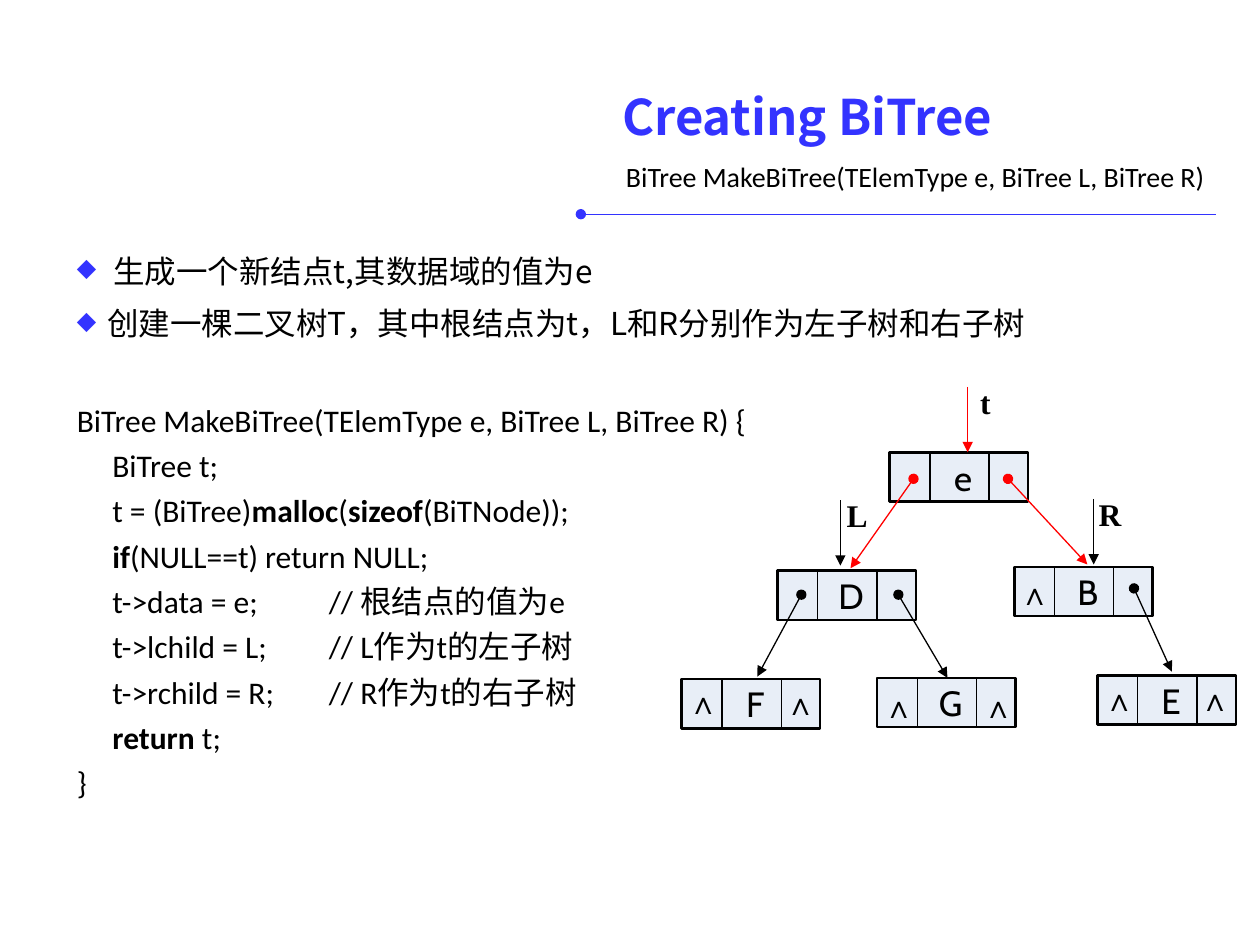
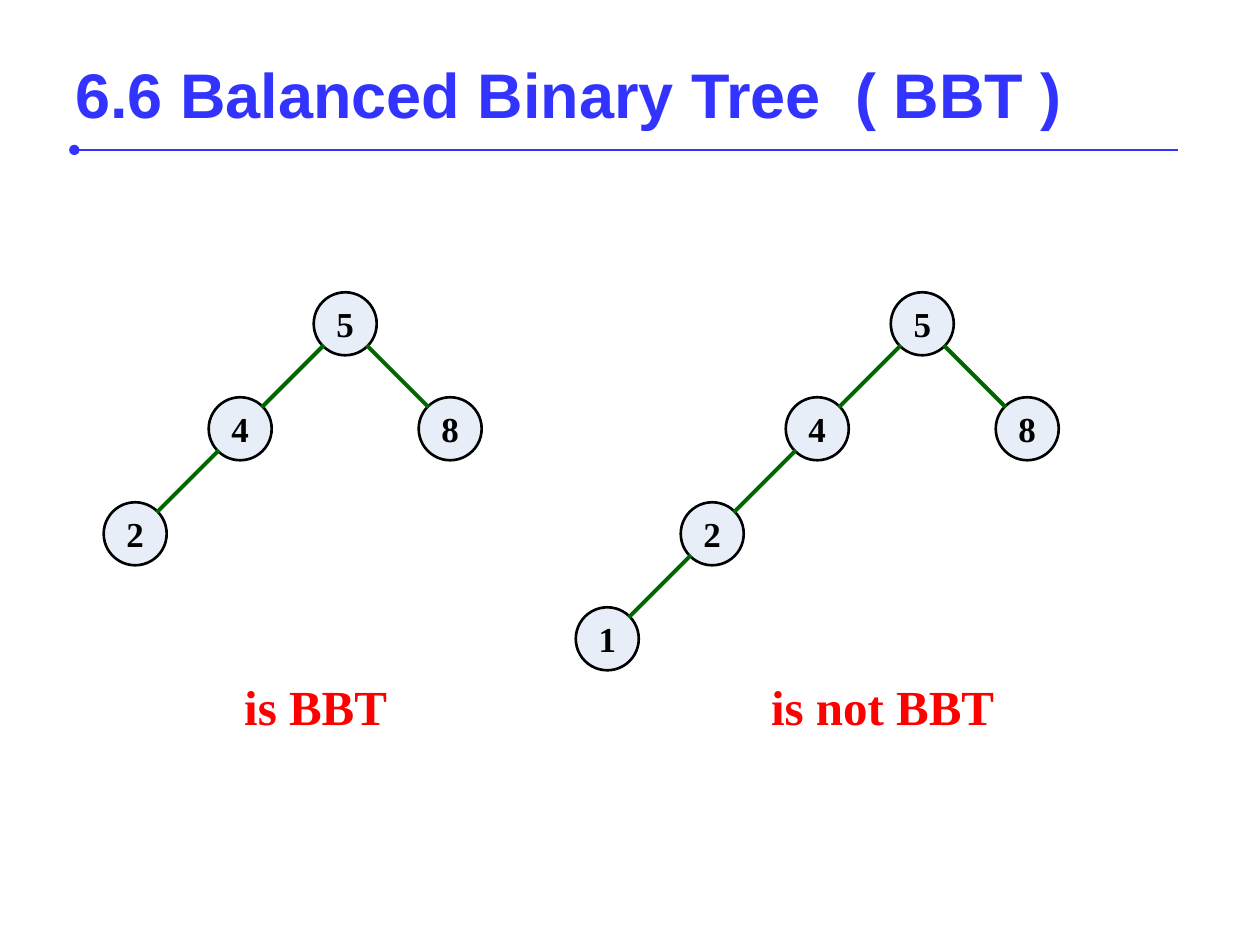
from lxml import etree
from pptx import Presentation
from pptx.dml.color import RGBColor
from pptx.enum.shapes import MSO_CONNECTOR, MSO_SHAPE
from pptx.enum.text import MSO_ANCHOR, PP_ALIGN
from pptx.oxml.ns import qn
from pptx.util import Inches, Pt

COLORS = {"blue": "3333FF", "black": "000000", "red": "FF0000",
          "green": "006600", "node": "E8EEF7"}
LABEL = {"name": "Times New Roman", "size": Pt(18), "bold": True}
LETTER = {"name": "Cabin", "size": Pt(20)}
NULL_MARK = {"name": "Arial", "size": Pt(18), "bold": True}
CODE = {"name": "Calibri", "size": Pt(18)}
NOTE = {"name": "Noto Sans CJK SC", "size": Pt(18)}
KEY = {"name": "Times New Roman", "size": Pt(20), "bold": True}
CAPTION = {"name": "Times New Roman", "size": Pt(28), "bold": True}


def write(shape, lines, font, color="black", align=PP_ALIGN.LEFT,
          anchor=MSO_ANCHOR.TOP, wrap=True):
    """Fill a shape with one paragraph per line; **marked** pieces are bold."""
    frame = shape.text_frame
    frame.word_wrap = wrap
    frame.vertical_anchor = anchor
    for number, line in enumerate(lines):
        paragraph = frame.add_paragraph() if number else frame.paragraphs[0]
        paragraph.alignment = align
        for index, piece in enumerate(line.split("**")):
            if not piece:
                continue
            run = paragraph.add_run()
            run.text = piece
            for attribute, value in font.items():
                setattr(run.font, attribute, value)
            if index % 2:
                run.font.bold = True
            run.font.color.rgb = RGBColor.from_string(COLORS[color])
    return frame


def add_line(slide, start, end, color="black", width=0.75, head=None, tail=None):
    line = slide.shapes.add_connector(
        MSO_CONNECTOR.STRAIGHT, *map(Inches, start + end))
    line.line.color.rgb = RGBColor.from_string(COLORS[color])
    line.line.width = Pt(width)
    outline = line.line._get_or_add_ln()
    for tag, kind in (("a:headEnd", head), ("a:tailEnd", tail)):
        if kind:
            etree.SubElement(outline, qn(tag), type=kind)
    etree.SubElement(line._element.spPr, qn("a:effectLst"))


presentation = Presentation()
presentation.slide_width = Inches(10)
presentation.slide_height = Inches(7.5)

# Titles with the dotted rule below
headers = [
    ("Creating BiTree", (4.84, 0.6, 4.52, 0.64), "Noto Sans CJK SC", 28,
     (4.61, 1.7), (9.65, 1.7), 0.75),
    ("6.6 Balanced Binary Tree  ( BBT )", (0.5, 0.3, 9, 0.88), "Arial", 36,
     (0.59, 1.19), (9.35, 1.19), 1.5),
]
slides = []
for title, box, font_name, size, rule_start, rule_end, rule_width in headers:
    slide = presentation.slides.add_slide(presentation.slide_layouts[6])
    add_line(slide, rule_start, rule_end, "blue", rule_width, head="oval")
    write(slide.shapes.add_textbox(*map(Inches, box)), [title],
          {"name": font_name, "size": Pt(size), "bold": True}, "blue",
          anchor=MSO_ANCHOR.MIDDLE)
    slides.append(slide)
creating_slide, balanced_slide = slides

# Slide 1: signature, notes and code
signature = "BiTree MakeBiTree(TElemType e, BiTree L, BiTree R)"
signature_box = creating_slide.shapes.add_textbox(
    *map(Inches, (4.87, 1.24, 4.9, 0.32)))
write(signature_box, [signature], {"name": "Calibri", "size": Pt(16)},
      anchor=MSO_ANCHOR.MIDDLE)

notes = ["生成一个新结点t,其数据域的值为e",
         "创建一棵二叉树T，其中根结点为t，L和R分别作为左子树和右子树"]
code = [
    signature + " {",
    "     BiTree t;",
    "     t = (BiTree)**malloc**(**sizeof**(BiTNode));",
    "     **if**(NULL==t) return NULL;",
    "     t->data = e;\t// 根结点的值为e",
    "     t->lchild = L;\t// L作为t的左子树",
    "     t->rchild = R;\t// R作为t的右子树",
    "     **return **t;",
    "}",
]
notes_box = creating_slide.shapes.add_textbox(
    *map(Inches, (0.41, 1.89, 8.86, 1.12)))
code_box = creating_slide.shapes.add_textbox(
    *map(Inches, (0.41, 3.07, 5.98, 3.33)))
notes_frame = write(notes_box, notes, NOTE, align=PP_ALIGN.JUSTIFY)
code_frame = write(code_box, code, CODE)
for frame in (notes_frame, code_frame):
    frame.margin_left, frame.margin_right = Inches(0.2), Inches(0.04)
    for paragraph in frame.paragraphs:
        paragraph.line_spacing = 1.2

for number, (paragraph, indent) in enumerate(
        zip(notes_frame.paragraphs, (0.29, 0.24))):
    paragraph.space_after = Pt(2)
    if number:
        paragraph.space_before = Pt(2)
    properties = paragraph._p.get_or_add_pPr()
    properties.set("marL", str(Inches(indent)))
    properties.set("indent", str(-Inches(indent)))
    bullet_color = etree.SubElement(properties, qn("a:buClr"))
    etree.SubElement(bullet_color, qn("a:srgbClr"), val=COLORS["blue"])
    etree.SubElement(properties, qn("a:buSzPct"), val="80000")
    etree.SubElement(properties, qn("a:buChar"), char="◆")

for paragraph in code_frame.paragraphs:
    tabs = etree.SubElement(paragraph._p.get_or_add_pPr(), qn("a:tabLst"))
    etree.SubElement(tabs, qn("a:tab"), pos=str(Inches(2)), algn="l")

# Slide 1: linked nodes, each with left pointer, data and right pointer
node_width, node_height = 1.1, 0.39
linked_nodes = {"e": (7.06, 3.59), "D": (6.17, 4.53), "F": (5.41, 5.39),
                "G": (6.96, 5.38), "B": (8.05, 4.5), "E": (8.71, 5.36)}
for letter, (left, top) in linked_nodes.items():
    node = creating_slide.shapes.add_shape(
        MSO_SHAPE.RECTANGLE, *map(Inches, (left, top, node_width, node_height)))
    node.shadow.inherit = False
    node.fill.solid()
    node.fill.fore_color.rgb = RGBColor.from_string(COLORS["node"])
    node.line.color.rgb = RGBColor.from_string(COLORS["black"])
    node.line.width = Pt(1.5)
    data_box = creating_slide.shapes.add_textbox(
        *map(Inches, (left + 0.35, top - 0.02, 0.47, 0.44)))
    write(data_box, [letter], LETTER, align=PP_ALIGN.CENTER)
    for offset in (0.32, 0.79):
        add_line(creating_slide, (left + offset, top),
                 (left + offset, top + node_height))

child_links = [
    ((6.36, 4.72), (6.01, 5.37), "black"),
    ((7.13, 4.72), (7.52, 5.38), "black"),
    ((9, 4.67), (9.3, 5.33), "black"),
    ((7.25, 3.8), (6.75, 4.51), "red"),
    ((8, 3.8), (8.63, 4.48), "red"),
]
for start, end, color in child_links:
    add_line(creating_slide, start, end, color, head="oval", tail="triangle")

# Named pointers: label corner, arrow start, arrow colour
pointers = [("t", (7.68, 2.99), (7.68, 3.07), "red"),
            ("L", (6.62, 3.89), (6.67, 3.97), "black"),
            ("R", (8.62, 3.88), (8.68, 3.96), "black")]
for name, corner, (x, y), color in pointers:
    label_box = creating_slide.shapes.add_textbox(
        *map(Inches, corner + (0.38, 0.4)))
    write(label_box, [name], LABEL, wrap=False)
    add_line(creating_slide, (x, y), (x, y + 0.52), color, tail="triangle")

null_corners = [(7.99, 4.51), (5.36, 5.37), (6.13, 5.38), (6.91, 5.4),
                (7.7, 5.4), (8.66, 5.35), (9.42, 5.35)]
for corner in null_corners:
    null_box = creating_slide.shapes.add_textbox(
        *map(Inches, corner + (0.45, 0.4)))
    write(null_box, ["∧"], NULL_MARK, wrap=False)

# Slide 2: trees on a grid; each key has its column, row and parent
diameter, step, edge_inset, root_y = 0.5, 2.5 / 3, 0.17, 2.57
balanced_tree = {"5": (0, 0, None), "4": (-1, 1, "5"),
                 "8": (1, 1, "5"), "2": (-2, 2, "4")}
unbalanced_tree = balanced_tree | {"1": (-3, 3, "2")}
trees = [(balanced_tree, 2.74, "is BBT", (1.74, 5.32, 1.53, 0.57)),
         (unbalanced_tree, 7.32, "is not BBT", (6.02, 5.32, 1.97, 0.57))]
for tree, root_x, caption, caption_area in trees:
    centers = {key: (root_x + column * step, root_y + row * step)
               for key, (column, row, parent) in tree.items()}
    for key, (x, y) in centers.items():
        circle = balanced_slide.shapes.add_shape(
            MSO_SHAPE.OVAL, Inches(x - diameter / 2), Inches(y - diameter / 2),
            Inches(diameter), Inches(diameter))
        circle.shadow.inherit = False
        circle.fill.solid()
        circle.fill.fore_color.rgb = RGBColor.from_string(COLORS["node"])
        circle.line.color.rgb = RGBColor.from_string(COLORS["black"])
        circle.line.width = Pt(1.5)
        write(circle, [key], KEY, align=PP_ALIGN.CENTER,
              anchor=MSO_ANCHOR.MIDDLE, wrap=False)
    for key, (column, row, parent) in tree.items():
        if parent:
            x, y = centers[key]
            parent_x, parent_y = centers[parent]
            inset = edge_inset if x > parent_x else -edge_inset
            add_line(balanced_slide, (parent_x + inset, parent_y + edge_inset),
                     (x - inset, y - edge_inset), "green", 2.25)
    caption_box = balanced_slide.shapes.add_textbox(*map(Inches, caption_area))
    write(caption_box, [caption], CAPTION, "red", PP_ALIGN.CENTER, wrap=False)

presentation.save("out.pptx")
